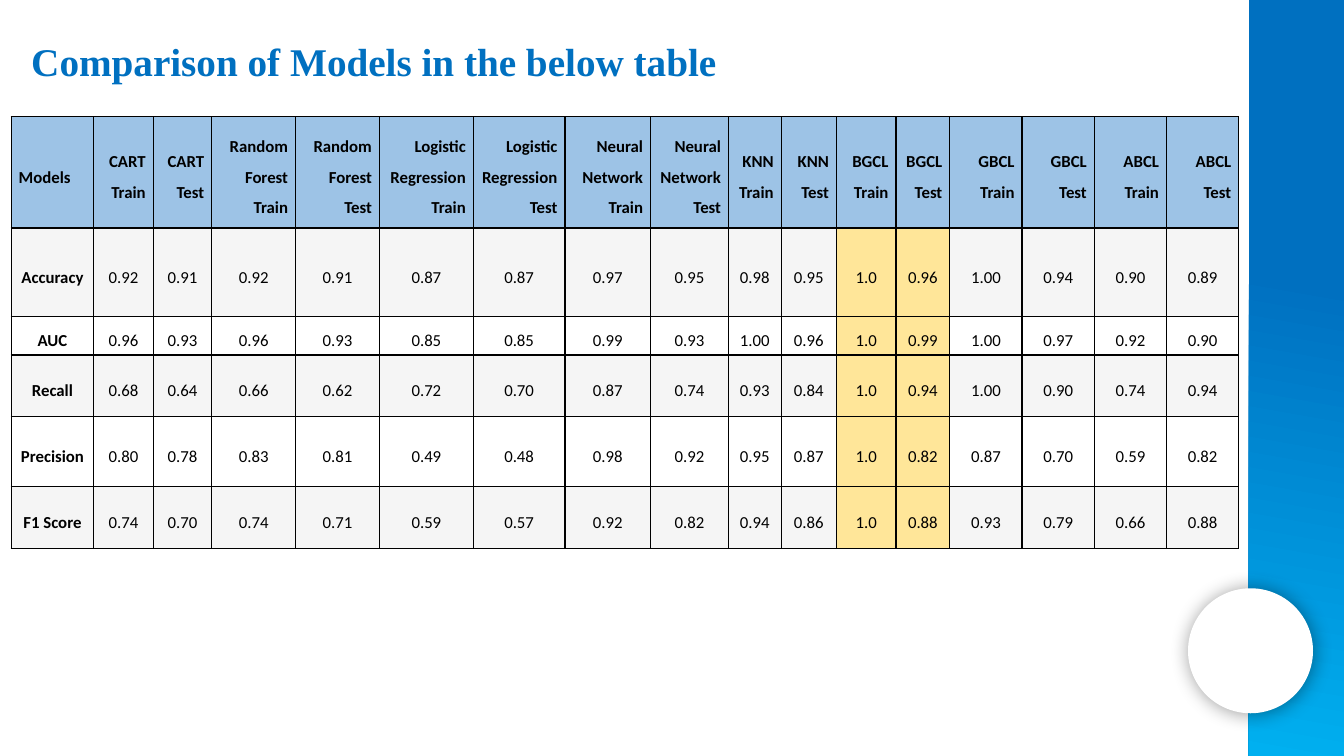
import pptx
import pptx.util
import pptx.dml.color
import pptx.enum.shapes
import pptx.enum.text
import pptx.oxml
import pptx.oxml.ns

Pt = pptx.util.Pt
RGBColor = pptx.dml.color.RGBColor
Align = pptx.enum.text.PP_ALIGN
Anchor = pptx.enum.text.MSO_ANCHOR
Preset = pptx.enum.shapes.MSO_SHAPE

BLUE = RGBColor(0x00, 0x70, 0xC0)
CYAN = RGBColor(0x00, 0xB0, 0xF0)
WHITE = RGBColor(0xFF, 0xFF, 0xFF)
BLACK = RGBColor(0x00, 0x00, 0x00)
HEADER_BLUE = RGBColor(0x9D, 0xC3, 0xE6)
BAND_GREY = RGBColor(0xF5, 0xF5, 0xF5)
BEST_YELLOW = RGBColor(0xFF, 0xE6, 0x99)

HEADING = "Comparison of Models in the below table"
MODELS = [
    ("CART", 42.5, 41.8),
    ("Random Forest", 59.9, 59.9),
    ("Logistic Regression", 67.1, 65.4),
    ("Neural Network", 61.2, 55.7),
    ("KNN", 37.6, 39.5),
    ("BGCL", 42.5, 38.5),
    ("GBCL", 51.6, 51.6),
    ("ABCL", 51.6, 51.6),
]
BEST_MODEL = "BGCL"
METRICS = [
    ("Accuracy", 63.4, "0.92 0.91 0.92 0.91 0.87 0.87 0.97 0.95 0.98 0.95 1.0 0.96 1.00 0.94 0.90 0.89"),
    ("AUC", 25.9, "0.96 0.93 0.96 0.93 0.85 0.85 0.99 0.93 1.00 0.96 1.0 0.99 1.00 0.97 0.92 0.90"),
    ("Recall", 44.1, "0.68 0.64 0.66 0.62 0.72 0.70 0.87 0.74 0.93 0.84 1.0 0.94 1.00 0.90 0.74 0.94"),
    ("Precision", 49.7, "0.80 0.78 0.83 0.81 0.49 0.48 0.98 0.92 0.95 0.87 1.0 0.82 0.87 0.70 0.59 0.82"),
    ("F1 Score", 44.6, "0.74 0.70 0.74 0.71 0.59 0.57 0.92 0.82 0.94 0.86 1.0 0.88 0.93 0.79 0.66 0.88"),
]
LABEL_WIDTH, HEADER_HEIGHT = 59, 79.5
TABLE_LEFT, TABLE_TOP = 8, 83.4
SLIDE_WIDTH, SLIDE_HEIGHT = 960, 540
BAND_LEFT = 892
CIRCLE_LEFT, CIRCLE_TOP, CIRCLE_SIZE = 848.6, 420.2, 89.3

CELL_FORMAT = {
    "margin_left": Pt(5.4), "margin_right": Pt(5.4),
    "margin_top": Pt(2.7), "margin_bottom": Pt(2.7),
    "vertical_anchor": Anchor.MIDDLE,
}
CELL_FONT = {"name": "Calibri", "size": Pt(12)}
HEADING_FONT = {"name": "Times New Roman", "size": Pt(28), "bold": True}
HEADING_BOX = {"left": Pt(15.1), "top": Pt(23), "width": Pt(734.4), "height": Pt(41)}
NS = pptx.oxml.ns.nsdecls("a")
BORDER = (
    '<a:{side} {ns} w="12700"><a:solidFill><a:srgbClr val="{color}"/></a:solidFill></a:{side}>'
)
SHADOW = (
    '<a:effectLst {ns}><a:outerShdw blurRad="{blur}" dist="{dist}" dir="2580000" algn="ctr" '
    'rotWithShape="0"><a:srgbClr val="{color}"><a:alpha val="40000"/></a:srgbClr>'
    '</a:outerShdw></a:effectLst>'
)


def apply(target, values):
    for attribute, value in values.items():
        setattr(target, attribute, value)


def fill_cell(cell, wording, color, align, bold):
    apply(cell, CELL_FORMAT)
    properties = cell._tc.get_or_add_tcPr()
    for side in ("lnL", "lnR", "lnT", "lnB"):
        properties.append(pptx.oxml.parse_xml(BORDER.format(side=side, ns=NS, color=BLACK)))
    if color is None:
        cell.fill.background()
    else:
        cell.fill.solid()
        cell.fill.fore_color.rgb = color
    paragraph = cell.text_frame.paragraphs[0]
    apply(paragraph, {"alignment": align, "line_spacing": 1.5})
    run = paragraph.add_run()
    run.text = wording
    apply(run.font, {**CELL_FONT, "bold": bold})
    run.font.color.rgb = BLACK


def add_decoration(slide):
    band = slide.shapes.add_shape(
        Preset.RECTANGLE, Pt(BAND_LEFT), Pt(0), Pt(SLIDE_WIDTH - BAND_LEFT), Pt(SLIDE_HEIGHT))
    band.shadow.inherit = False
    band.line.fill.background()
    band.fill.gradient()
    band.fill.gradient_angle = 260
    for stop, (position, color) in zip(band.fill.gradient_stops, [(0.37, BLUE), (1, CYAN)]):
        stop.position = position
        stop.color.rgb = color

    circle = slide.shapes.add_shape(
        Preset.OVAL, Pt(CIRCLE_LEFT), Pt(CIRCLE_TOP), Pt(CIRCLE_SIZE), Pt(CIRCLE_SIZE))
    circle.fill.solid()
    circle.fill.fore_color.rgb = WHITE
    circle.line.fill.background()
    circle._element.spPr.append(pptx.oxml.parse_xml(
        SHADOW.format(ns=NS, blur=Pt(14), dist=Pt(1), color=BLACK)))


def add_heading(slide):
    heading = slide.shapes.title
    apply(heading, HEADING_BOX)
    apply(heading.text_frame, {"word_wrap": True, "vertical_anchor": Anchor.MIDDLE})
    heading.text_frame.text = HEADING
    paragraph = heading.text_frame.paragraphs[0]
    paragraph.alignment = Align.LEFT
    apply(paragraph.runs[0].font, HEADING_FONT)
    paragraph.runs[0].font.color.rgb = BLUE


def add_comparison(slide):
    columns = [("Models", LABEL_WIDTH)]
    for model, train_width, test_width in MODELS:
        columns += [(f"{model} Train", train_width), (f"{model} Test", test_width)]
    heights = [HEADER_HEIGHT] + [height for _, height, _ in METRICS]
    comparison = slide.shapes.add_table(
        len(heights), len(columns), Pt(TABLE_LEFT), Pt(TABLE_TOP),
        Pt(sum(width for _, width in columns)), Pt(sum(heights))).table
    apply(comparison, {"first_row": False, "horz_banding": False})
    for row, height in zip(comparison.rows, heights):
        row.height = Pt(height)

    for c, (model, width) in enumerate(columns):
        comparison.columns[c].width = Pt(width)
        fill_cell(comparison.cell(0, c), model, HEADER_BLUE,
                  Align.RIGHT if c else Align.LEFT, True)
    for r, (metric, _, scores) in enumerate(METRICS, 1):
        for c, wording in enumerate([metric] + scores.split()):
            color = BAND_GREY if r % 2 else None
            if columns[c][0].startswith(BEST_MODEL):
                color = BEST_YELLOW
            fill_cell(comparison.cell(r, c), wording, color, Align.CENTER, c == 0)


def main():
    deck = pptx.Presentation()
    apply(deck, {"slide_width": Pt(SLIDE_WIDTH), "slide_height": Pt(SLIDE_HEIGHT)})
    slide = deck.slides.add_slide(deck.slide_layouts[5])
    add_decoration(slide)
    add_heading(slide)
    add_comparison(slide)
    deck.save("out.pptx")


if __name__ == "__main__":
    main()
